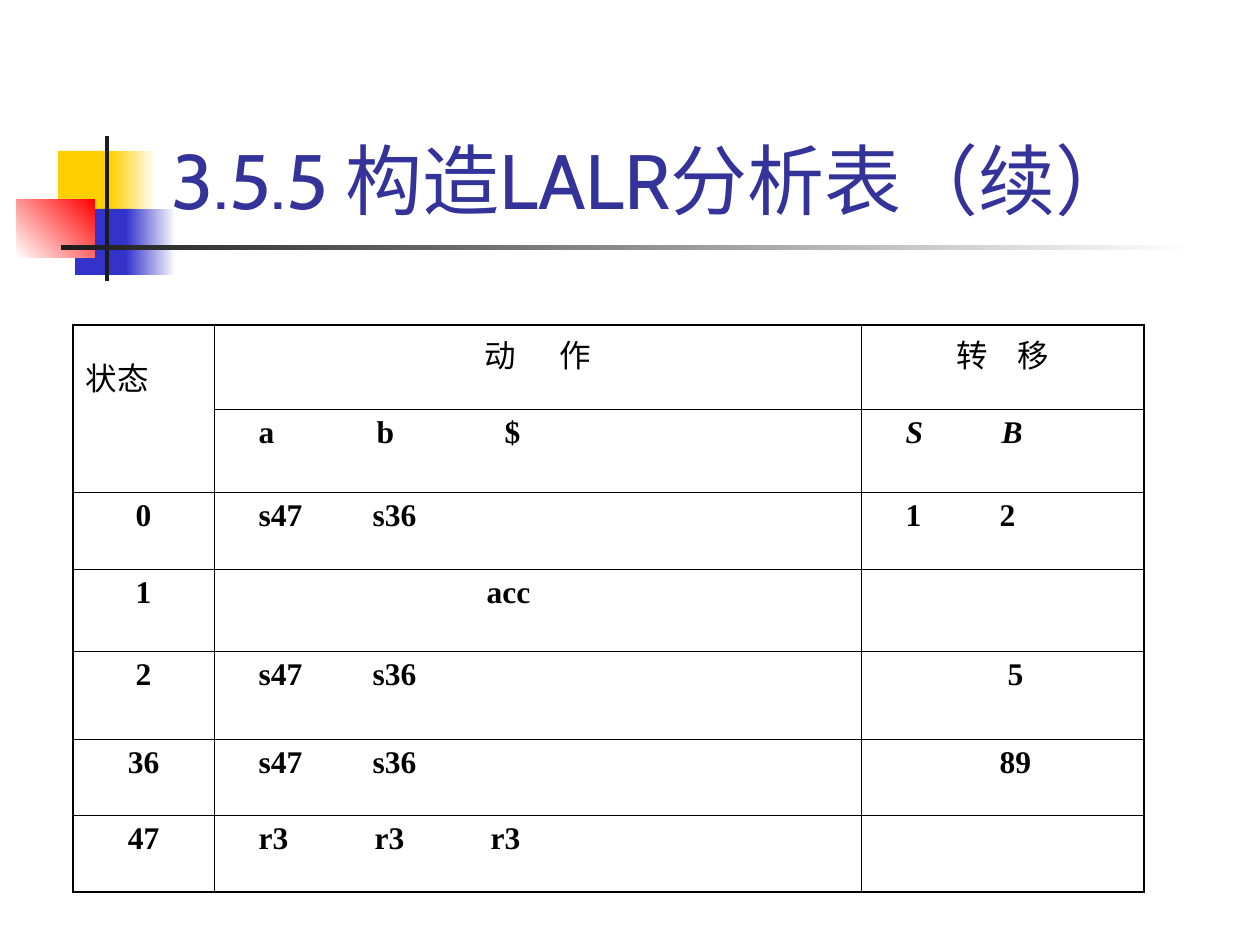
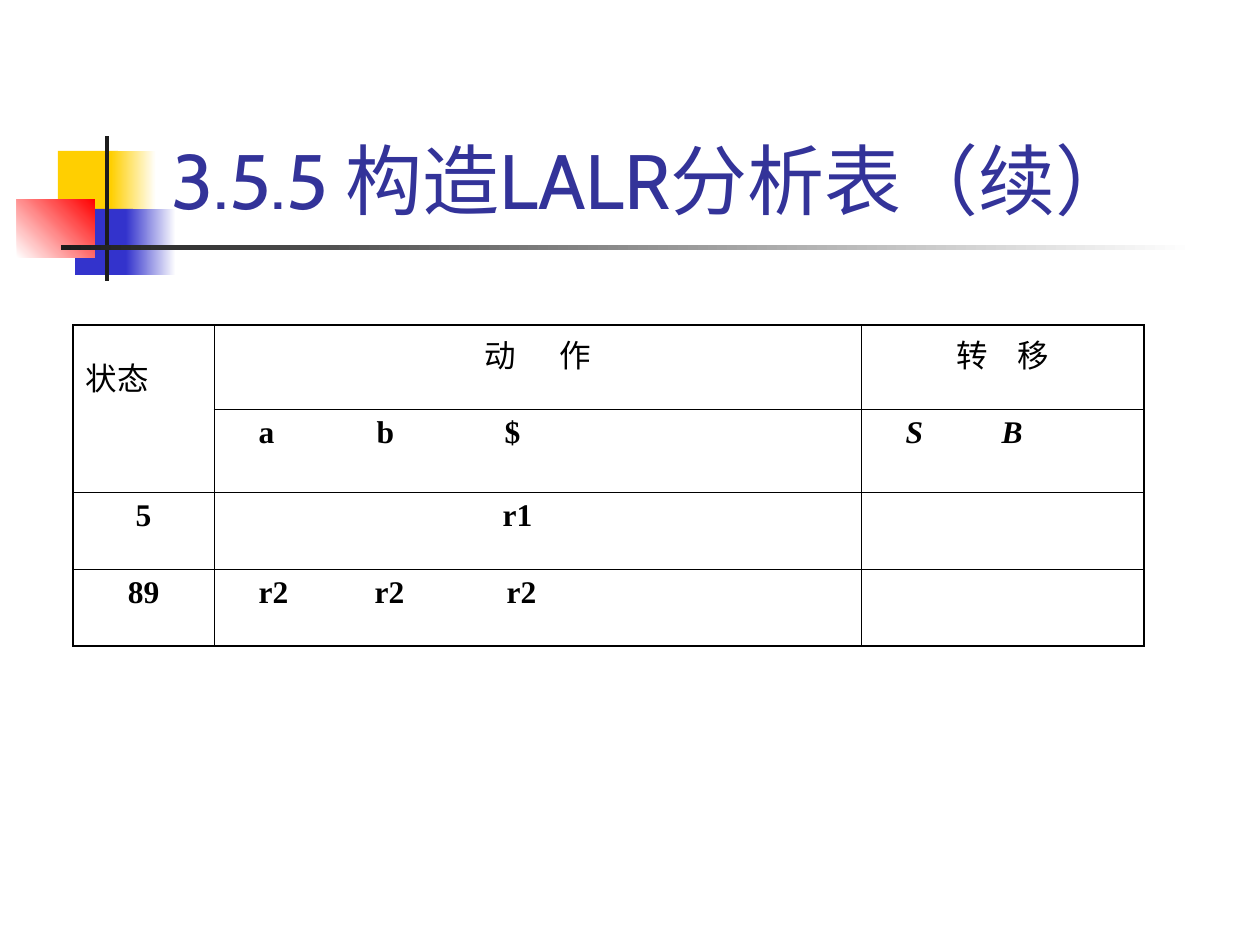
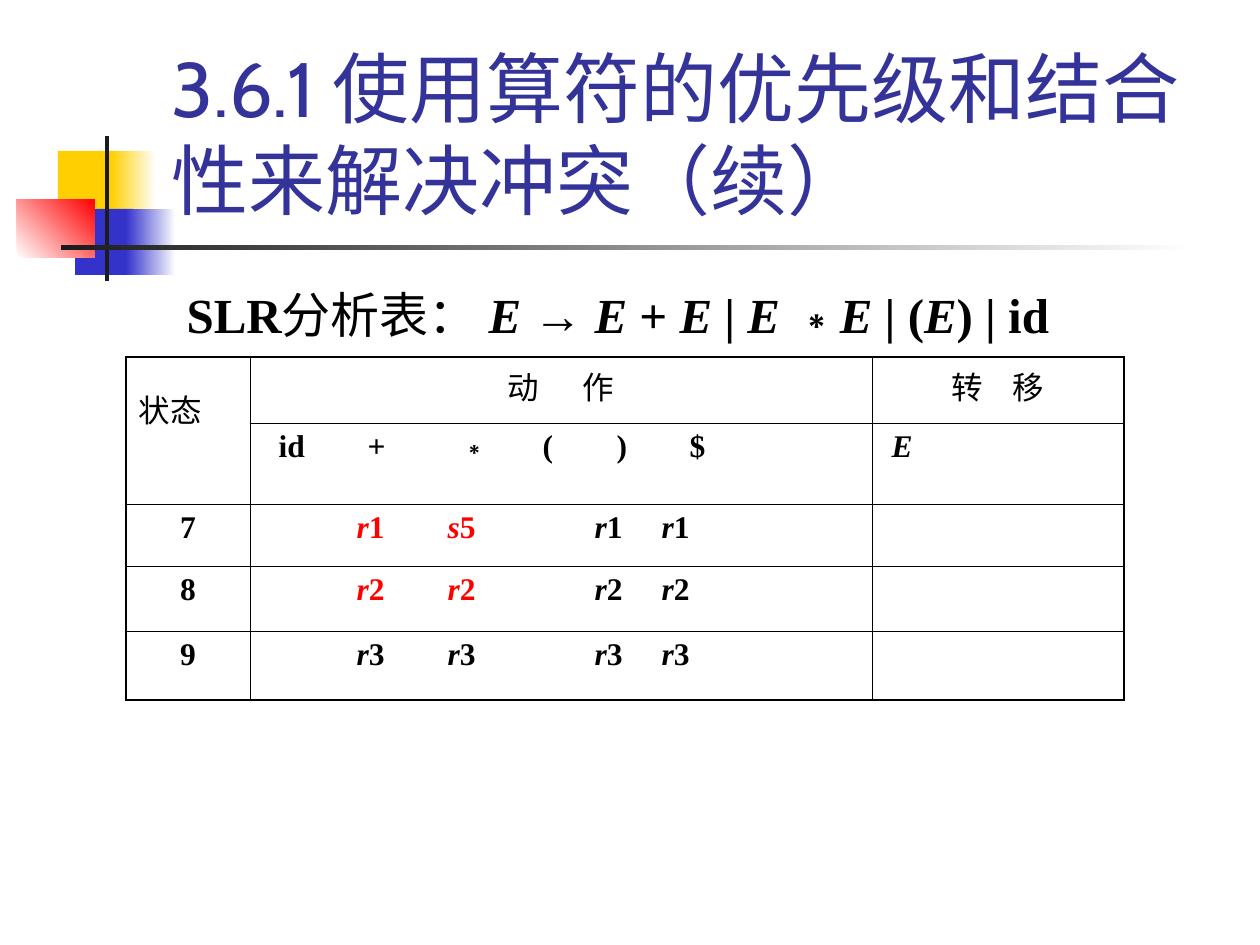
from dataclasses import dataclass
from itertools import groupby
from typing import NamedTuple

from lxml.etree import SubElement
from pptx import Presentation
from pptx.dml.color import RGBColor
from pptx.enum.shapes import MSO_SHAPE
from pptx.enum.text import MSO_ANCHOR, PP_ALIGN
from pptx.oxml.ns import qn
from pptx.util import Emu, Pt

PX = 914400 / 126


@dataclass(frozen=True)
class Theme:
    black: str = "000000"
    white: str = "FFFFFF"
    title: str = "333399"
    yellow: str = "FFCF01"
    blue: str = "3333CC"
    red: str = "FF0000"
    rule: str = "1C1C1C"
    title_font: str = "Cabin"
    body_font: str = "Times New Roman"
    chinese_font: str = "Noto Sans CJK SC"
    symbol_font: str = "Arial"
    title_size: int = 44
    body_size: int = 28
    table_size: int = 18
    outer_line: float = 1.08
    inner_line: float = 0.45


class Stop(NamedTuple):
    """A piece of cell text that starts x px from the cell's text edge."""
    x: int
    text: str
    colour: str = ""


def px(length):
    return Emu(round(length * PX))


def rgb(colour):
    return RGBColor.from_string(colour)


class Deck:
    def __init__(self, theme):
        self.theme = theme
        self.deck = Presentation()
        self.deck.slide_width, self.deck.slide_height = px(1260), px(945)
        self.slide = None

    def new_slide(self, title):
        t = self.theme
        self.slide = self.deck.slides.add_slide(self.deck.slide_layouts[6])
        self.block(58, 151, 60, 66, t.yellow)
        self.block(111, 151, 45, 66, t.yellow, t.white)
        self.block(75, 209, 58, 66, t.blue)
        self.block(126, 209, 50, 66, t.blue, t.white)
        self.block(17, 199, 78, 59, t.white, t.red, angle=45)
        self.block(105, 136, 4, 145, t.rule)
        self.block(61, 245, 1134, 5, t.rule, t.white)
        self.text(159, 29, 1074, 202, title, t.title_size, t.title_font,
                  t.title, bold=False, anchor=MSO_ANCHOR.BOTTOM)

    def block(self, left, top, width, height, colour, fade_to=None, angle=0):
        block = self.slide.shapes.add_shape(
            MSO_SHAPE.RECTANGLE, px(left), px(top), px(width), px(height))
        block.shadow.inherit = False
        block.line.fill.background()
        if fade_to is None:
            block.fill.solid()
            block.fill.fore_color.rgb = rgb(colour)
            return
        block.fill.gradient()
        block.fill.gradient_angle = angle
        for stop, shade in zip(block.fill.gradient_stops, (colour, fade_to)):
            stop.color.rgb = rgb(shade)

    def text(self, left, top, width, height, words, size, font, colour,
             bold=True, anchor=MSO_ANCHOR.TOP):
        frame = self.slide.shapes.add_textbox(
            px(left), px(top), px(width), px(height)).text_frame
        frame.word_wrap = True
        frame.vertical_anchor = anchor
        paragraph = frame.paragraphs[0]
        self.style(paragraph, size, font, colour, bold)
        self.add_runs(paragraph, words, bold)

    def style(self, paragraph, size, font, colour, bold):
        face = paragraph.font
        face.size, face.name, face.bold = Pt(size), font, bold
        face.color.rgb = rgb(colour)
        properties = paragraph._p.pPr.find(qn("a:defRPr"))
        SubElement(properties, qn("a:ea"), typeface=self.theme.chinese_font)

    def add_runs(self, paragraph, words, bold=True, colour=""):
        """Add runs: _x_ is italic, Chinese is never bold, symbols change font."""
        styled, italic = [], False
        for char in words:
            if char == "_":
                italic = not italic
            else:
                styled.append((char, (italic, char in "→∗", bold and char > "⺀")))
        for (slanted, symbol, regular), group in groupby(styled, lambda item: item[1]):
            run = paragraph.add_run()
            run.text = "".join(char for char, _ in group)
            if slanted:
                run.font.italic = True
            if symbol:
                run.font.name = self.theme.symbol_font
            if regular:
                run.font.bold = False
            if colour:
                run.font.color.rgb = rgb(colour)

    def parse_table(self, left, top, columns, heights, symbols, states):
        """Draw a parsing table: two heading rows, then one row per state."""
        rows = [("状态", "动 作", "转 移"), (None, *symbols), *states]
        table = self.slide.shapes.add_table(
            len(rows), len(columns), px(left), px(top),
            px(sum(columns)), px(sum(heights))).table
        for column, width in zip(table.columns, columns):
            column.width = px(width)
        for row, height in zip(table.rows, heights):
            row.height = px(height)
        for r, contents in enumerate(rows):
            for c, content in enumerate(contents):
                cell = table.cell(r, c)
                self.borders(cell, c == 0, c == len(columns) - 1,
                             r == 0, r == len(rows) - 1)
                cell.fill.background()
                self.fill_cell(cell.text_frame.paragraphs[0], content)
        table.cell(0, 0).merge(table.cell(1, 0))
        heading = table.cell(0, 0).text_frame.paragraphs[0]
        heading.alignment = PP_ALIGN.LEFT
        heading.line_spacing = 1.5
        for column, gap in ((1, 1050), (2, 650)):
            for run in table.cell(0, column).text_frame.paragraphs[0].runs[:-1]:
                run._r.get_or_add_rPr().set("spc", str(gap))

    def fill_cell(self, paragraph, content):
        t = self.theme
        stops = content if isinstance(content, list) else []
        if stops:
            tabs = SubElement(paragraph._p.get_or_add_pPr(), qn("a:tabLst"))
            for stop in stops:
                SubElement(tabs, qn("a:tab"), pos=str(px(stop.x)), algn="l")
        self.style(paragraph, t.table_size, t.body_font, t.black, True)
        for stop in stops:
            self.add_runs(paragraph, "\t" + stop.text, colour=stop.colour)
        if isinstance(content, str):
            paragraph.alignment = PP_ALIGN.CENTER
            self.add_runs(paragraph, content)

    def borders(self, cell, *outer_sides):
        properties = cell._tc.get_or_add_tcPr()
        for side, outer in zip("LRTB", outer_sides):
            width = self.theme.outer_line if outer else self.theme.inner_line
            line = SubElement(properties, qn(f"a:ln{side}"), w=str(Pt(width)))
            fill = SubElement(line, qn("a:solidFill"))
            SubElement(fill, qn("a:srgbClr"), val=self.theme.black)


def stops(positions, texts):
    return [Stop(x, text) for x, text in zip(positions, texts)]


def reductions(state, marks, resolved=""):
    """Row of a conflict state; its first two actions take the given colour."""
    colours = (resolved, resolved, "", "")
    return state, [Stop(*mark) for mark in zip((94, 185, 332, 399), marks, colours)], None


def main():
    theme = Theme()
    deck = Deck(theme)

    lalr_title = "3.5.5 构造LALR分析表（续）"
    lalr_columns = (141, 647, 283)
    lalr_symbols = (stops((32, 150, 278), ("a", "b", "$")),
                    stops((32, 128), ("_S_", "_B_")))
    shifts = stops((32, 146), ("s47", "s36"))

    deck.new_slide(lalr_title)
    deck.parse_table(73, 325, lalr_columns, (84, 83, 77, 82, 88, 76, 77), lalr_symbols, [
        ("0", shifts, stops((32, 126), "12")),
        ("1", [Stop(260, "acc")], None),
        ("2", shifts, [Stop(134, "5")]),
        ("36", shifts, [Stop(126, "89")]),
        ("47", stops((32, 148, 264), ["r3"] * 3), None),
    ])

    deck.new_slide(lalr_title)
    deck.parse_table(73, 325, lalr_columns, (84, 83, 77, 77), lalr_symbols, [
        ("5", [Stop(276, "r1")], None),
        ("89", stops((32, 148, 280), ["r2"] * 3), None),
    ])

    deck.new_slide("3.6.1 使用算符的优先级和结合性来解决冲突（续）")
    deck.text(162, 278, 1045, 567,
              " SLR分析表： _E_ → _E_ + _E_ | _E_ ∗ _E_ | (_E_) | id",
              theme.body_size, theme.body_font, theme.black)
    slr_symbols = (stops((16, 105, 196, 280, 354, 427), ("id", "+", "∗", "(", ")", "$")),
                   [Stop(7, "_E_")])
    deck.parse_table(126, 357, (124, 622, 252), (66, 81, 62, 65, 69), slr_symbols, [
        reductions("7", ("_r_1", "_s_5", "_r_1", "_r_1"), theme.red),
        reductions("8", ["_r_2"] * 4, theme.red),
        reductions("9", ["_r_3"] * 4),
    ])

    deck.deck.save("out.pptx")


if __name__ == "__main__":
    main()
